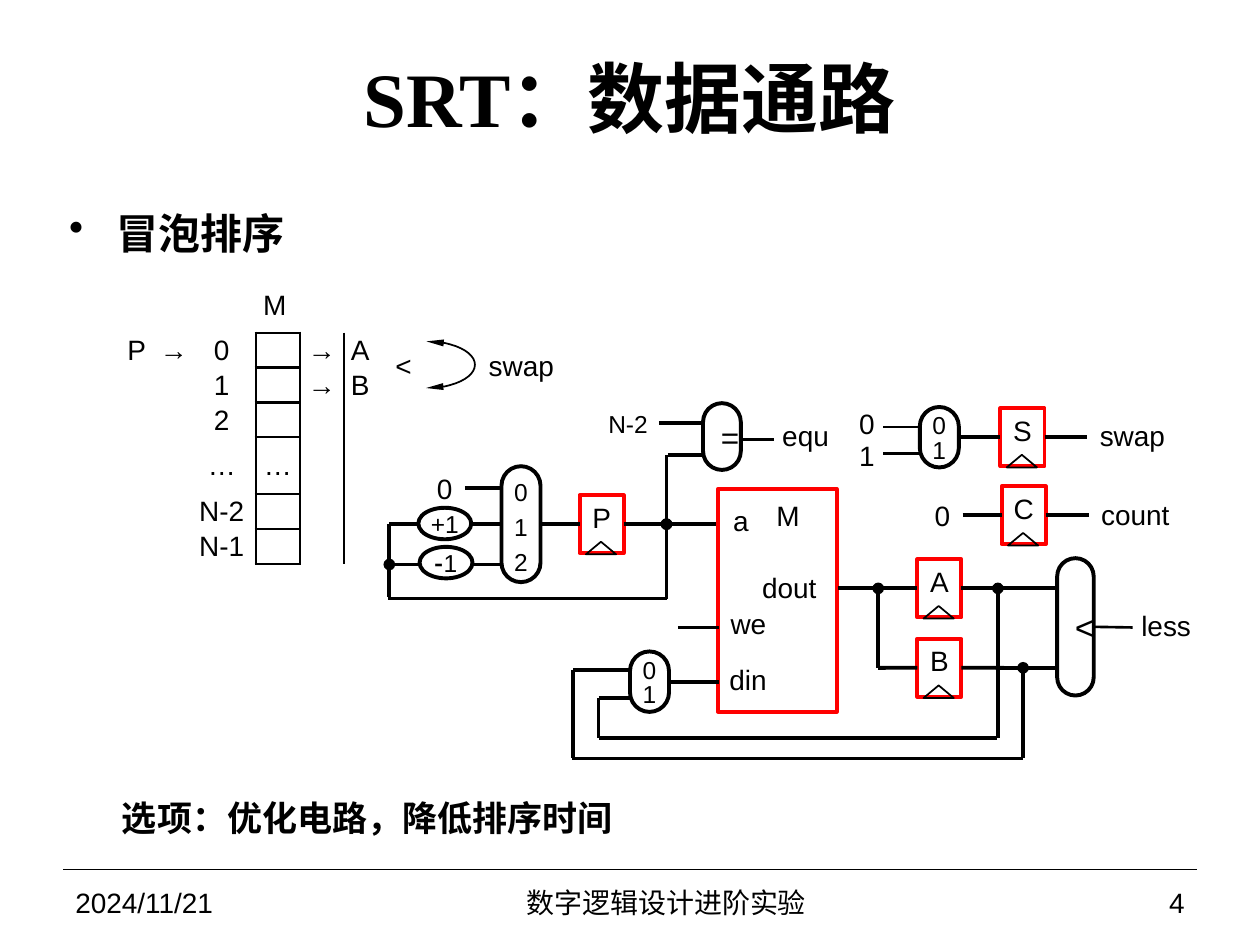
from lxml import etree
from pptx import Presentation
from pptx import util as u
from pptx.dml.color import RGBColor
from pptx.enum import shapes as s, text as t
from pptx.oxml.ns import qn

INK, RED, WHITE = "000000", "FF0000", "FFFFFF"
HAN = "Noto Sans CJK SC"
ALIGN = {"l": t.PP_ALIGN.LEFT, "c": t.PP_ALIGN.CENTER, "r": t.PP_ALIGN.RIGHT}
LEFT, RIGHT = 1, 3


def paint(fmt, tone):
    """Give a fill or font colour object a hex colour."""
    fmt.rgb = RGBColor.from_string(tone)


def node(home, tag, **attrs):
    """Append a drawing element with attributes."""
    return etree.SubElement(home, qn(tag), attrs)


def run(para, words, size=16, font="Arial", bold=False):
    """Add one formatted run to a paragraph."""
    part = para.add_run()
    part.text = words
    part.font.size, part.font.name, part.font.bold = u.Pt(size), font, bold
    paint(part.font.color, INK)
    if any(ord(c) > 0x2FFF for c in words):
        node(part._r.get_or_add_rPr(), "a:ea", typeface=HAN)


def write(frame, words, align="l", mid=False, wrap=False, pad=None, lead=None, mark=None, **font):
    """Fill a text frame, one paragraph for each line."""
    frame.word_wrap = wrap
    frame.vertical_anchor = t.MSO_ANCHOR.MIDDLE if mid else t.MSO_ANCHOR.TOP
    if pad:
        (frame.margin_left, frame.margin_top,
         frame.margin_right, frame.margin_bottom) = map(u.Inches, pad)
    for i, line in enumerate(words.split("\n")):
        para = frame.add_paragraph() if i else frame.paragraphs[0]
        para.alignment = ALIGN[align]
        if lead:
            para.line_spacing = u.Pt(lead)
        if mark:
            props = para._p.get_or_add_pPr()
            props.set("marL", str(u.Inches(0.38)))
            props.set("indent", str(u.Inches(-0.38)))
            node(props, "a:buChar", char=mark)
        run(para, line, **font)


def label(page, words, x, y, w, h=0.37, **form):
    """Place a text box."""
    box = page.shapes.add_textbox(*map(u.Inches, (x, y, w, h)))
    write(box.text_frame, words, **form)


def shape(page, kind, x, y, w, h, tone=INK, width=2.25, fill=None):
    """Place an outlined preset shape."""
    item = page.shapes.add_shape(kind, *map(u.Inches, (x, y, w, h)))
    item.shadow.inherit = False
    if fill:
        item.fill.solid()
        paint(item.fill.fore_color, fill)
    else:
        item.fill.background()
    paint(item.line.color, tone)
    item.line.width = u.Pt(width)
    return item


def wire(page, x1, y1, x2, y2, width=2.25, dot=False, start=None, end=None):
    """Draw a straight wire, joined to (shape, side) where given."""
    line = page.shapes.add_connector(
        s.MSO_CONNECTOR.STRAIGHT, *map(u.Inches, (x1, y1, x2, y2)))
    if start:
        line.begin_connect(*start)
    if end:
        line.end_connect(*end)
    paint(line.line.color, INK)
    line.line.width = u.Pt(width)
    if dot:
        node(line.line._get_or_add_ln(), "a:headEnd", type="oval")
    node(line._element.spPr, "a:effectLst")


def pill(page, words, x, y, w, h, **form):
    """Place a rounded multiplexer or comparator."""
    item = shape(page, s.MSO_SHAPE.ROUNDED_RECTANGLE, x, y, w, h)
    item.adjustments[0] = 0.5
    write(item.text_frame, words, align="c", mid=True, **form)
    return item


def mux(page, x, y):
    """Place a two-way multiplexer."""
    return pill(page, "0\n1", x, y, 0.31, 0.48, size=14, lead=14, pad=(0, 0.04, 0, 0))


def reg(page, name, x, mid, width=2.25, feed=None):
    """Place a register with its clock mark and both wires."""
    box = shape(page, s.MSO_SHAPE.RECTANGLE, x, mid - 0.23, 0.35, 0.46, RED)
    write(box.text_frame, name, align="c", wrap=True, pad=(0, 0.04, 0, 0))
    shape(page, s.MSO_SHAPE.ISOSCELES_TRIANGLE, x + 0.05, mid + 0.14, 0.24, 0.1, width=1)
    wire(page, x - 0.31, mid, x, mid, width,
         start=(feed, RIGHT) if feed else None, end=(box, LEFT))
    wire(page, x + 0.35, mid, x + 0.69, mid, width, start=(box, RIGHT))


def step(page, x, y):
    """Place the oval of a counter step."""
    oval = shape(page, s.MSO_SHAPE.OVAL, x, y, 0.42, 0.25, fill=WHITE)
    return oval.text_frame


def memory(page):
    """Build the memory table with its pointers."""
    rows = ["P→0 →A", "  1 →B", "  2   ", "  ……  ", "  N   ", "  N   "]
    grid = [[c.strip() for c in row] for row in rows]
    grid[4][2], grid[5][2] = "N-2", "N-1"
    table = page.shapes.add_table(6, 6, *map(u.Inches, (0.91, 2.64, 2.08, 1.8))).table
    props = table._tbl.tblPr
    table.first_row = table.horz_banding = False
    props.find(qn("a:tableStyleId")).text = "{2D5ABB26-0587-4C30-8999-92F81FD0307C}"
    for col, w in zip(table.columns, (0.35, 0.23, 0.54, 0.35, 0.35, 0.26)):
        col.width = u.Inches(w)
    edges = {2: ["a:lnR"], 3: ["a:lnL", "a:lnR", "a:lnT", "a:lnB"], 4: ["a:lnL"]}
    for r, row in enumerate(grid):
        table.rows[r].height = u.Inches(0.45 if r == 3 else 0.27)
        for c, words in enumerate(row):
            cell = table.cell(r, c)
            cell.vertical_anchor = t.MSO_ANCHOR.MIDDLE
            cell.margin_left = cell.margin_right = cell.margin_top = u.Inches(0.01)
            cell.margin_bottom = 0
            para = cell.text_frame.paragraphs[0]
            para.alignment = ALIGN["c"]
            if words:
                run(para, words)
            else:
                node(para._p, "a:endParaRPr", sz="1600")
            for tag in edges.get(c, []):
                edge = node(cell._tc.get_or_add_tcPr(), tag, w=str(u.Pt(1.5)))
                node(node(edge, "a:solidFill"), "a:srgbClr", val=INK)
            cell.fill.background()


def swap(page):
    """Draw the curved double arrow of the swap."""
    arc = shape(page, s.MSO_SHAPE.ARC, 3, 2.71, 0.77, 0.37, width=1)
    arc.adjustments[0], arc.adjustments[1] = 162, 54.54
    for tag in ("a:headEnd", "a:tailEnd"):
        node(arc.line._get_or_add_ln(), tag, type="triangle", w="sm", len="lg")


def frame(page):
    """Write title, bullet, remark and footer."""
    label(page, "SRT：数据通路", 0.5, 0.3, 9, 0.93, align="c", mid=True, wrap=True,
          size=44, font="Times New Roman", bold=True)
    label(page, "冒泡排序", 0.45, 1.6, 8.71, 0.63, wrap=True, mark="•",
          size=24, font="Times New Roman", bold=True)
    label(page, "选项：优化电路，降低排序时间", 0.87, 6.27, 4.16, 0.44, size=20, bold=True)
    wire(page, 0.5, 6.9, 9.5, 6.9, 0.75)
    for words, x, w, side in (("2024/11/21", 0.5, 2.33, "l"),
                              ("数字逻辑设计进阶实验", 2.83, 4.92, "c"), ("4", 7.75, 1.75, "r")):
        label(page, words, x, 6.98, w, align=side, mid=True, wrap=True)


def circuit(page):
    """Draw the datapath."""
    core = shape(page, s.MSO_SHAPE.RECTANGLE, 5.7, 3.88, 0.94, 1.77, RED)
    write(core.text_frame, "M", align="c", wrap=True, pad=(0.17, 0.08, 0, 0))
    pick = pill(page, "0\n1\n2", 3.98, 3.7, 0.31, 0.92, size=14, lead=20, pad=(0, 0, 0, 0))
    less = pill(page, "<", 8.39, 4.43, 0.29, 1.09, size=20, wrap=True)
    pill(page, "=", 5.58, 3.2, 0.3, 0.53, size=18, wrap=True)
    data, flag = mux(page, 5, 5.17), mux(page, 7.3, 3.23)
    reg(page, "P", 4.6, 4.16, feed=pick)
    reg(page, "A", 7.28, 4.67)
    reg(page, "B", 7.28, 5.3)
    reg(page, "S", 7.94, 3.47, feed=flag)
    reg(page, "C", 7.95, 4.09)
    wire(page, 5.31, 5.41, 5.71, 5.41, start=(data, RIGHT))
    wire(page, 8.68, 4.98, 8.99, 4.98, 1.5, start=(less, RIGHT))
    for ends in ((5.29, 4.16, 5.68, 4.16), (7.91, 4.67, 8.4, 4.67), (7.95, 5.3, 8.4, 5.3),
                 (6.65, 4.67, 6.97, 4.67), (3.09, 4.16, 3.98, 4.16), (3.08, 4.75, 5.29, 4.75),
                 (3.09, 4.16, 3.09, 4.74), (3.69, 3.87, 3.98, 3.87), (5.3, 3.61, 5.57, 3.61),
                 (5.23, 3.36, 5.57, 3.36), (4.75, 5.86, 7.91, 5.86), (4.75, 5.54, 4.75, 5.86),
                 (4.54, 6.02, 8.12, 6.02), (4.55, 5.32, 4.55, 6.02), (4.75, 5.54, 5, 5.54),
                 (4.55, 5.32, 5, 5.32)):
        wire(page, *ends)
    for ends in ((6.97, 4.67, 6.97, 5.3), (5.29, 4.16, 5.29, 4.75), (5.29, 4.16, 5.29, 3.61),
                 (7.92, 4.67, 7.92, 5.86), (8.12, 5.3, 8.12, 6.02), (3.09, 4.48, 3.98, 4.48)):
        wire(page, *ends, dot=True)
    for ends in ((5.38, 4.98, 5.71, 4.98), (5.88, 3.49, 6.14, 3.49),
                 (7.01, 3.39, 7.3, 3.39), (7.01, 3.6, 7.3, 3.6)):
        wire(page, *ends, width=1.5)
    form = dict(align="c", mid=True, pad=(0, 0, 0, 0), size=14)
    write(step(page, 3.32, 4.03), "+1", **form)
    less_one = step(page, 3.33, 4.34)
    write(less_one, "-", font=HAN, bold=True, **form)
    run(less_one.paragraphs[0], "1", size=14)


def names(page):
    """Write the signal names."""
    for words, x, y, w in (("<", 3.04, 2.72, 0.33), ("swap", 3.78, 2.72, 0.72),
                           ("M", 1.99, 2.23, 0.39), ("din", 5.69, 5.21, 0.5),
                           ("dout", 5.95, 4.48, 0.64), ("a", 5.72, 3.95, 0.33),
                           ("less", 8.96, 4.78, 0.6), ("equ", 6.11, 3.27, 0.58),
                           ("swap", 8.63, 3.27, 0.72)):
        label(page, words, x, y, w)
    label(page, "we", 5.7, 4.82, 0.49, 0.31, lead=15)
    label(page, "N-2", 4.72, 3.2, 0.52, 0.34, align="r", size=14)
    label(page, "count", 8.53, 3.9, 0.85, align="r", wrap=True)
    for bit, x, y in (("0", 3.37, 3.69), ("0", 6.72, 3.18), ("1", 6.72, 3.43), ("0", 7.32, 3.91)):
        label(page, bit, x, y, 0.27, 0.38, align="r")


def main():
    """Build and save the slide."""
    deck = Presentation()
    deck.slide_width, deck.slide_height = u.Inches(10), u.Inches(7.5)
    page = deck.slides.add_slide(deck.slide_layouts[6])
    for draw in (frame, memory, swap, circuit, names):
        draw(page)
    deck.save("out.pptx")


if __name__ == "__main__":
    main()
